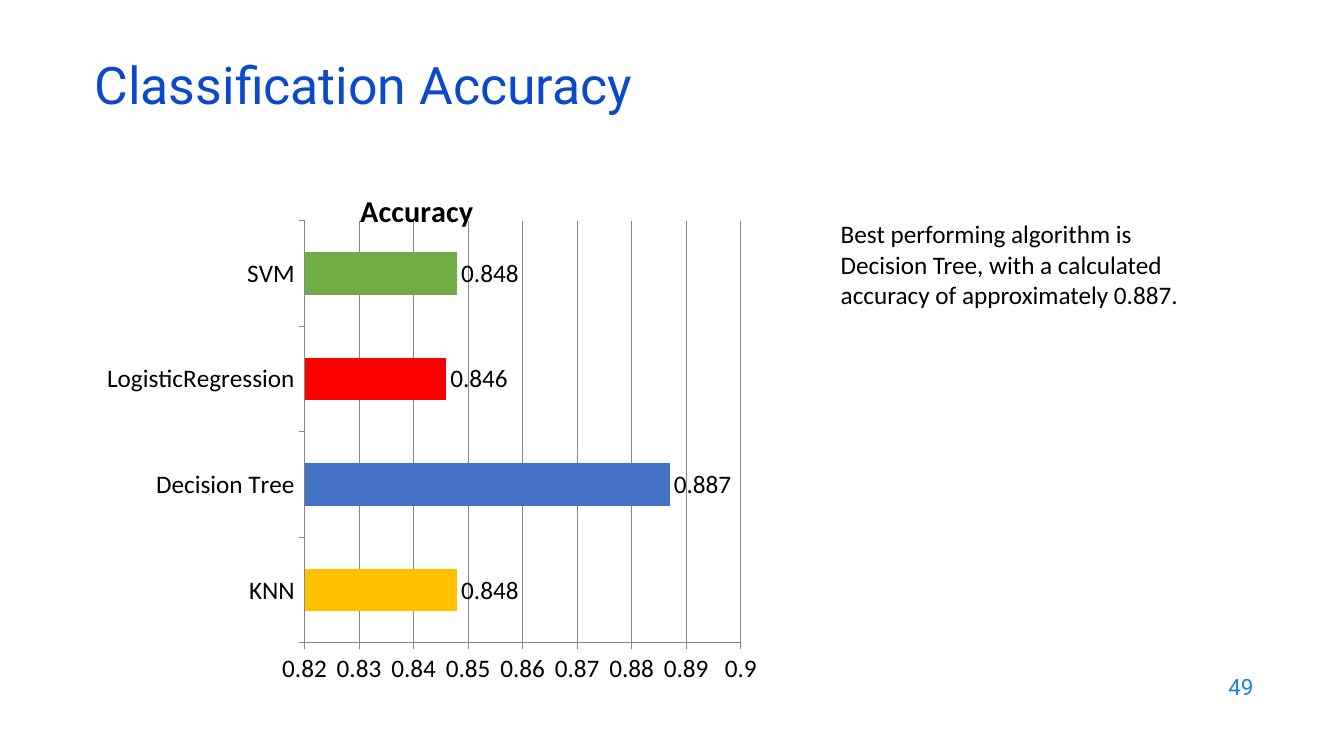
from pptx import Presentation
from pptx.chart.data import CategoryChartData
from pptx.dml.color import RGBColor
from pptx.enum.chart import XL_CHART_TYPE, XL_LABEL_POSITION, XL_TICK_MARK
from pptx.enum.text import MSO_ANCHOR, PP_ALIGN
from pptx.oxml import parse_xml
from pptx.oxml.ns import nsdecls
from pptx.util import Inches, Pt

TITLE_BLUE = RGBColor(0x0B, 0x49, 0xCB)
NUMBER_BLUE = RGBColor(0x1C, 0x7D, 0xDB)
BLACK = RGBColor(0, 0, 0)
GRID_GRAY = RGBColor(0x86, 0x86, 0x86)
ACCURACIES = [
    ("KNN", 0.848, RGBColor(0xFF, 0xC0, 0x00)),
    ("Decision Tree", 0.887, RGBColor(0x44, 0x72, 0xC4)),
    ("LogisticRegression", 0.846, RGBColor(0xFF, 0x00, 0x00)),
    ("SVM", 0.848, RGBColor(0x70, 0xAD, 0x47)),
]


def set_font(font, name, size, color):
    """Apply a typeface, point size and colour."""
    font.name = name
    font.size = Pt(size)
    font.color.rgb = color


def add_text(slide, box, text, name, size, color, anchor=MSO_ANCHOR.MIDDLE):
    """Add a wrapped text box and return its paragraph."""
    text_frame = slide.shapes.add_textbox(*map(Inches, box)).text_frame
    text_frame.word_wrap = True
    text_frame.vertical_anchor = anchor
    text_frame.text = text
    paragraph = text_frame.paragraphs[0]
    set_font(paragraph.runs[0].font, name, size, color)
    return paragraph


def layout_xml(**values):
    """Build a manual chart layout from fractions of the chart area."""
    settings = "".join(f'<c:{key} val="{value}"/>' for key, value in values.items())
    return parse_xml(
        f'<c:layout {nsdecls("c")}><c:manualLayout>{settings}</c:manualLayout></c:layout>'
    )


def format_axis(axis):
    """Give an axis outward ticks and a thin grey line."""
    axis.major_tick_mark = XL_TICK_MARK.OUTSIDE
    axis.minor_tick_mark = XL_TICK_MARK.NONE
    axis.format.line.color.rgb = GRID_GRAY
    axis.format.line.width = Pt(0.75)


def add_accuracy_chart(slide, box):
    """Add the bar chart of accuracy by algorithm."""
    data = CategoryChartData()
    data.categories = [name for name, _, _ in ACCURACIES]
    data.add_series("Accuracy", [value for _, value, _ in ACCURACIES])
    chart = slide.shapes.add_chart(
        XL_CHART_TYPE.BAR_CLUSTERED, *map(Inches, box), data
    ).chart
    set_font(chart.font, "Calibri", 18, BLACK)
    chart.has_legend = False
    chart.has_title = True
    title_frame = chart.chart_title.text_frame
    title_frame.text = "Accuracy"
    title_font = title_frame.paragraphs[0].runs[0].font
    set_font(title_font, "Calibri", 21.6, BLACK)
    title_font.bold = True

    format_axis(chart.category_axis)
    value_axis = chart.value_axis
    format_axis(value_axis)
    value_axis.minimum_scale = 0.82
    value_axis.maximum_scale = 0.9
    value_axis.major_unit = 0.01
    value_axis.has_major_gridlines = True
    gridline = value_axis.major_gridlines.format.line
    gridline.color.rgb = GRID_GRAY
    gridline.width = Pt(0.75)

    plot = chart.plots[0]
    plot.gap_width = 150
    plot.vary_by_categories = False
    series = plot.series[0]
    series.format.fill.solid()
    series.format.fill.fore_color.rgb = ACCURACIES[0][2]
    for index, (_, _, color) in enumerate(ACCURACIES):
        fill = series.points[index].format.fill
        fill.solid()
        fill.fore_color.rgb = color
    labels = series.data_labels
    labels.show_value = True
    labels.position = XL_LABEL_POSITION.OUTSIDE_END
    set_font(labels.font, "Calibri", 18, BLACK)

    plot_area = chart.element.chart.plotArea
    for layout in plot_area.findall("{*}layout"):
        plot_area.remove(layout)
    plot_area.insert(0, layout_xml(
        layoutTarget="inner", xMode="edge", yMode="edge",
        x=0.354, y=0.099, w=0.567, h=0.798,
    ))


def build_slide(presentation):
    """Place the title, chart, conclusion and slide number."""
    slide = presentation.slides.add_slide(presentation.slide_layouts[6])
    number = add_text(slide, (9.53, 6.59, 3, 0.44), "49", "Roboto", 16, NUMBER_BLUE)
    number.alignment = PP_ALIGN.RIGHT
    title = add_text(
        slide, (0.84, 0.59, 11.5, 0.6), "Classification Accuracy", "Roboto", 37, TITLE_BLUE
    )
    title.line_spacing = 0.8
    add_accuracy_chart(slide, (0.32, 1.67, 7.63, 5.25))
    add_text(
        slide, (8.24, 2.12, 3.79, 1.01),
        "Best performing algorithm is Decision Tree, with a calculated "
        "accuracy of approximately 0.887.",
        "Calibri", 18, BLACK, MSO_ANCHOR.TOP,
    )


def main():
    """Create and save the presentation."""
    presentation = Presentation()
    presentation.slide_width = Inches(13.33)
    presentation.slide_height = Inches(7.5)
    build_slide(presentation)
    presentation.save("out.pptx")


if __name__ == "__main__":
    main()
